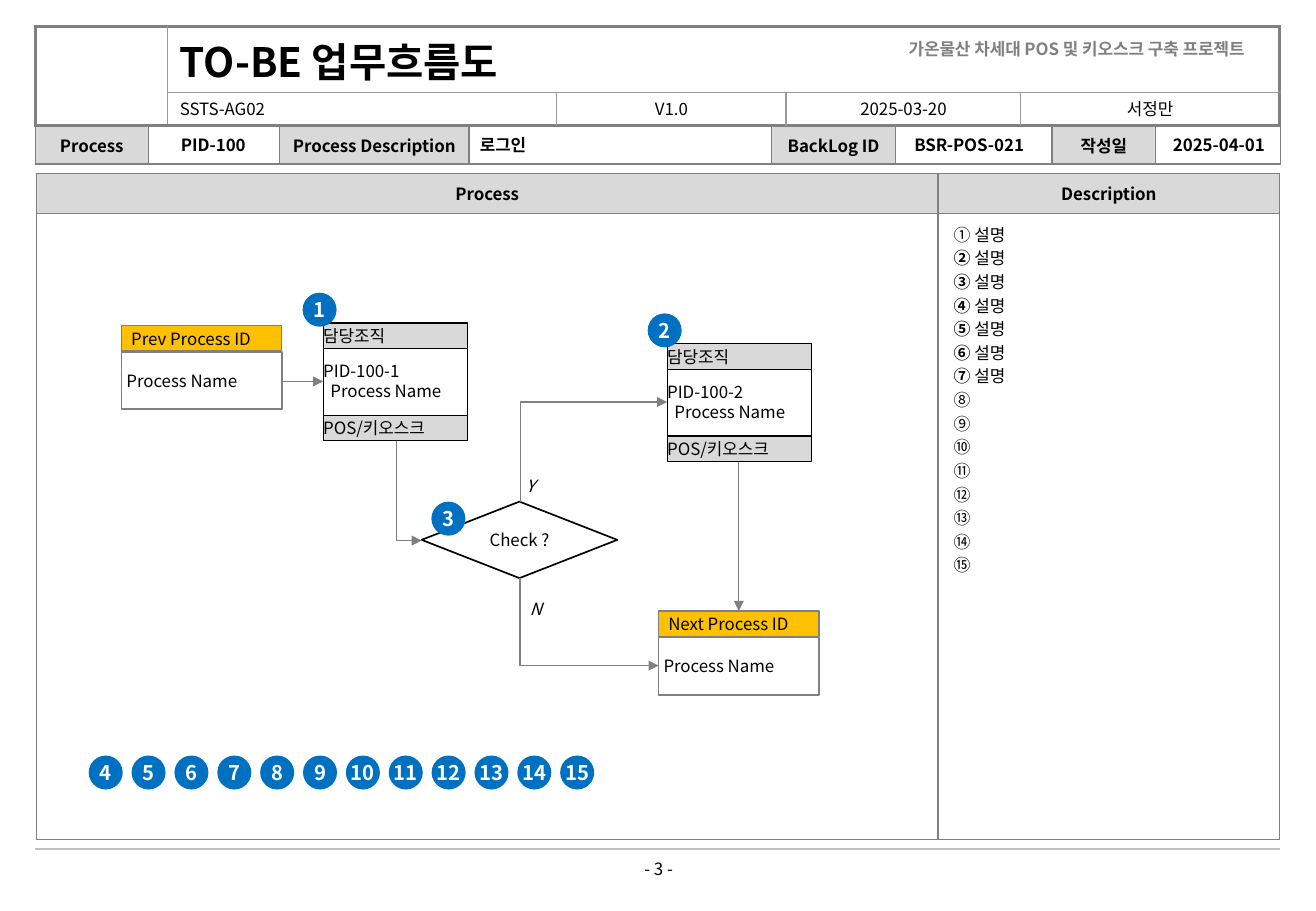
from dataclasses import dataclass

from lxml.etree import SubElement
from pptx import Presentation
from pptx.dml.color import RGBColor
from pptx.enum.shapes import MSO_CONNECTOR as LINE, MSO_SHAPE as SHAPE
from pptx.enum.text import MSO_ANCHOR as ANCHOR, MSO_AUTO_SIZE as FIT, PP_ALIGN as ALIGN
from pptx.oxml import parse_xml
from pptx.oxml.ns import nsdecls, qn
from pptx.util import Inches, Pt


@dataclass(frozen=True)
class Theme:
    font: str = "Noto Sans CJK KR"
    black: str = "000000"
    white: str = "FFFFFF"
    grey: str = "808080"
    rule: str = "999999"
    footer: str = "C0C0C0"
    header: str = "D9D9D9"
    amber: str = "FFC000"
    blue: str = "0070C0"
    heading: int = 24
    badge: int = 12
    body: int = 10


THEME = Theme()
NO_GRID = "{2D5ABB26-0587-4C30-8999-92F81FD0307C}"
TEXT_INSETS = (0.1, 0.05)


def rgb(value):
    return RGBColor.from_string(value)


def add_run(para, text, size=THEME.body, color=THEME.black, bold=False, italic=False):
    span = para.add_run()
    span.text = text
    font = span.font
    font.size, font.bold, font.italic = Pt(size), bold, italic
    font.name, font.color.rgb = THEME.font, rgb(color)
    properties = span._r.get_or_add_rPr()
    SubElement(properties, qn("a:ea")).set("typeface", THEME.font)


def set_frame(frame, insets, anchor=ANCHOR.MIDDLE):
    frame.word_wrap, frame.auto_size = True, FIT.NONE
    frame.vertical_anchor = anchor
    frame.margin_left = frame.margin_right = Inches(insets[0])
    frame.margin_top = frame.margin_bottom = Inches(insets[1])


def add_label(page, at, text, align=ALIGN.LEFT, anchor=ANCHOR.TOP, insets=TEXT_INSETS, **style):
    box = page.shapes.add_textbox(*map(Inches, at))
    set_frame(box.text_frame, insets, anchor)
    para = box.text_frame.paragraphs[0]
    para.alignment = align
    add_run(para, text, **style)


def add_block(page, kind, at, lines, fill=None, line=None, width=0.75,
              inset=0, align=ALIGN.LEFT, **style):
    block = page.shapes.add_shape(kind, *map(Inches, at))
    block.shadow.inherit = False
    if fill:
        block.fill.solid()
        block.fill.fore_color.rgb = rgb(fill)
    else:
        block.fill.background()
    if line:
        block.line.color.rgb, block.line.width = rgb(line), Pt(width)
    else:
        block.line.fill.background()
    frame = block.text_frame
    set_frame(frame, (inset, 0))
    for index, text in enumerate(lines):
        para = frame.add_paragraph() if index else frame.paragraphs[0]
        para.alignment = align
        if len(lines) > 1:
            para.line_spacing = Pt(12)
        if index:
            para._p.get_or_add_pPr().set("marL", str(Inches(0.06)))
        add_run(para, text, **style)


# Connectors
def add_line(page, start, end, color=THEME.grey, width=0.75, arrow=True):
    line = page.shapes.add_connector(LINE.STRAIGHT, *map(Inches, start + end))
    line.line.color.rgb, line.line.width = rgb(color), Pt(width)
    if arrow:
        SubElement(line.line._get_or_add_ln(), qn("a:tailEnd")).set("type", "triangle")
    SubElement(line._element.spPr, qn("a:effectLst"))
    return line


def add_elbow(page, start, end):
    """Arrow that leaves vertically and arrives horizontally from the left."""
    elbow = add_line(page, start, end)
    across, rise = end[0] - start[0], abs(end[1] - start[1])
    elbow.left = Inches((start[0] + end[0] - rise) / 2)
    elbow.top = Inches((start[1] + end[1] - across) / 2)
    elbow.width, elbow.height = Inches(rise), Inches(across)
    going_up = end[1] < start[1]
    properties = elbow._element.spPr
    properties.find(qn("a:prstGeom")).set("prst", "bentConnector2")
    frame = properties.find(qn("a:xfrm"))
    frame.set("rot", str((90 if going_up else 270) * 60000))
    frame.set("flipH", "1")
    frame.set("flipV", "1" if going_up else "0")


# Tables
def set_borders(cell, edges):
    properties = cell._tc.get_or_add_tcPr()
    for index, (side, (color, width)) in enumerate(edges.items()):
        paint = f'<a:solidFill><a:srgbClr val="{color}"/></a:solidFill>' if width else "<a:noFill/>"
        properties.insert(index, parse_xml(
            f'<a:ln{side} {nsdecls("a")} w="{Pt(width)}">{paint}</a:ln{side}>'))


def add_grid(page, left, top, widths, heights, texts, merges=(), shaded=(),
             inner=(THEME.grey, 1), outer=(THEME.grey, 1), hidden=()):
    """texts maps (row, column) to (text, alignment, run style)."""
    graphic = page.shapes.add_table(len(heights), len(widths), Inches(left), Inches(top),
                                    Inches(sum(widths)), Inches(sum(heights)))
    table = graphic.table
    table.first_row = table.horz_banding = False
    table._tbl.tblPr.find(qn("a:tableStyleId")).text = NO_GRID
    for column, width in zip(table.columns, widths):
        column.width = Inches(width)
    for row, height in zip(table.rows, heights):
        row.height = Inches(height)
    for first, last in merges:
        table.cell(*first).merge(table.cell(*last))
    for row in range(len(heights)):
        for column in range(len(widths)):
            spot, cell = (row, column), table.cell(row, column)
            cell.vertical_anchor = ANCHOR.MIDDLE
            cell.margin_top = cell.margin_bottom = 0
            para = cell.text_frame.paragraphs[0]
            if spot in texts:
                text, para.alignment, style = texts[spot]
                add_run(para, text, **style)
            else:
                para._p.get_or_add_endParaRPr().set("sz", str(THEME.body * 100))
            if spot in shaded:
                cell.fill.solid()
                cell.fill.fore_color.rgb = rgb(THEME.header)
            else:
                cell.fill.background()
            if cell.is_spanned:
                continue
            at_edge = {"L": column == 0, "R": column + cell.span_width == len(widths),
                       "T": row == 0, "B": row + cell.span_height == len(heights)}
            set_borders(cell, {side: (THEME.white, 0) if (spot, side) in hidden
                               else outer if is_outer else inner
                               for side, is_outer in at_edge.items()})


# Flow chart parts
def add_badge(page, left, top, number):
    add_block(page, SHAPE.OVAL, (left, top, 0.28, 0.28), [str(number)], THEME.blue,
              align=ALIGN.CENTER, size=THEME.badge, color=THEME.white, bold=True)


def add_step(page, left, top, step_id):
    add_block(page, SHAPE.RECTANGLE, (left, top + 0.19, 1.19, 0.57),
              [step_id, "Process Name"], line=THEME.black)
    for offset, text in ((0, "담당조직"), (0.76, "POS/키오스크")):
        add_block(page, SHAPE.RECTANGLE, (left, top + offset, 1.19, 0.21), [text],
                  THEME.header, THEME.black)


def add_linked_process(page, left, top, heading):
    add_block(page, SHAPE.RECTANGLE, (left, top + 0.22, 1.32, 0.47), ["Process Name"],
              line=THEME.grey, width=1, inset=0.04)
    add_block(page, SHAPE.RECTANGLE, (left, top, 1.32, 0.21), [heading],
              THEME.amber, THEME.grey, inset=0.08)


def add_header(page):
    center, strong = ALIGN.CENTER, {"bold": True}
    add_grid(page, 0.29, 0.22, (1.09, 3.2, 1.89, 1.05, 0.88, 2.13), (0.54, 0.27), {
        (0, 1): ("TO-BE 업무흐름도", ALIGN.LEFT, {"size": THEME.heading, "bold": True}),
        (1, 1): ("SSTS-AG02", ALIGN.LEFT, {}),
        (1, 2): ("V1.0", center, {}),
        (1, 3): ("2025-03-20", center, {}),
        (1, 5): ("서정만", center, {}),
    }, merges=(((0, 0), (1, 0)), ((0, 1), (0, 3)), ((0, 4), (0, 5)), ((1, 3), (1, 4))),
        inner=(THEME.rule, 1), outer=(THEME.grey, 2),
        hidden={((0, 1), "R"), ((0, 4), "L")})
    add_label(page, (6.26, 0.27, 4.08, 0.3), "가온물산 차세대 POS 및 키오스크 구축 프로젝트",
              ALIGN.RIGHT, color=THEME.grey, bold=True)

    # Process bar: captions in the shaded cells, values beside them
    captions = ("Process", "Process Description", "BackLog ID", "작성일")
    cells = {(0, 2 * index): (text, center, strong) for index, text in enumerate(captions)}
    add_grid(page, 0.29, 1.04, (0.93, 1.08, 1.56, 2.49, 1.02, 1.29, 0.85, 1.03), (0.31,),
             cells, shaded=cells)
    title = page.shapes.title
    title.left, title.top, title.width, title.height = map(Inches, (1.24, 1.07, 1.03, 0.24))
    set_frame(title.text_frame, (0, 0))
    title.text_frame.paragraphs[0].alignment = center
    add_run(title.text_frame.paragraphs[0], "PID-100", bold=True)
    for left, width, text, align, inset in (
            (3.85, 2.49, "로그인", ALIGN.LEFT, 0.1),
            (7.37, 1.21, "BSR-POS-021", center, 0),
            (9.54, 0.98, "2025-04-01", center, 0)):
        add_label(page, (left, 1.07, width, 0.24), text, align, ANCHOR.MIDDLE, (inset, 0), bold=True)


def add_description(page):
    box = page.shapes.add_textbox(*map(Inches, (7.75, 1.77, 2.78, 5.12)))
    set_frame(box.text_frame, TEXT_INSETS, ANCHOR.TOP)
    for index, mark in enumerate("①②③④⑤⑥⑦⑧⑨⑩⑪⑫⑬⑭⑮"):
        para = box.text_frame.add_paragraph() if index else box.text_frame.paragraphs[0]
        para.line_spacing = Pt(14)
        if index < 7:
            add_run(para, mark + " ", bold=index > 0)
            add_run(para, "설명")
        else:
            add_run(para, mark)


def add_flow(page):
    add_step(page, 2.66, 2.66, "PID-100-1")
    add_step(page, 5.49, 2.83, "PID-100-2")
    add_linked_process(page, 1, 2.68, "Prev Process ID")
    add_linked_process(page, 5.42, 5.03, "Next Process ID")
    add_block(page, SHAPE.DIAMOND, (3.47, 4.13, 1.61, 0.63), ["Check ?"], THEME.white,
              THEME.black, 1, align=ALIGN.CENTER)
    add_line(page, (2.32, 3.14), (2.66, 3.14))
    add_line(page, (6.08, 3.8), (6.08, 5.03))
    for start, end in (((3.26, 3.63), (3.47, 4.45)), ((4.28, 4.13), (5.49, 3.31)),
                       ((4.28, 4.76), (5.42, 5.48))):
        add_elbow(page, start, end)
    add_label(page, (4.23, 3.87, 0.57, 0.3), "Y", italic=True)
    add_label(page, (4.26, 4.88, 0.64, 0.3), "N", italic=True)

    # Badges on the flow, then the spare ones in a row
    for number, (left, top) in enumerate(((2.49, 2.41), (5.33, 2.58), (3.55, 4.13)), 1):
        add_badge(page, left, top, number)
    pitch = (4.61 - 0.73) / 11
    for number in range(4, 16):
        add_badge(page, 0.73 + (number - 4) * pitch, 6.22, number)


def main():
    deck = Presentation()
    deck.slide_width, deck.slide_height = Inches(10.83), Inches(7.5)
    page = deck.slides.add_slide(deck.slide_layouts[5])
    add_header(page)
    panels = {(0, index): (text, ALIGN.CENTER, {"bold": True})
              for index, text in enumerate(("Process", "Description"))}
    add_grid(page, 0.3, 1.43, (7.42, 2.81), (0.33, 5.15), panels, shaded=panels)
    add_description(page)
    add_flow(page)
    # Footer
    add_line(page, (0.29, 6.99), (10.53, 6.99), THEME.footer, 1.5, arrow=False)
    add_label(page, (4.75, 7.02, 1.34, 0.35), "- 3 -", ALIGN.CENTER)
    deck.save("out.pptx")


if __name__ == "__main__":
    main()
